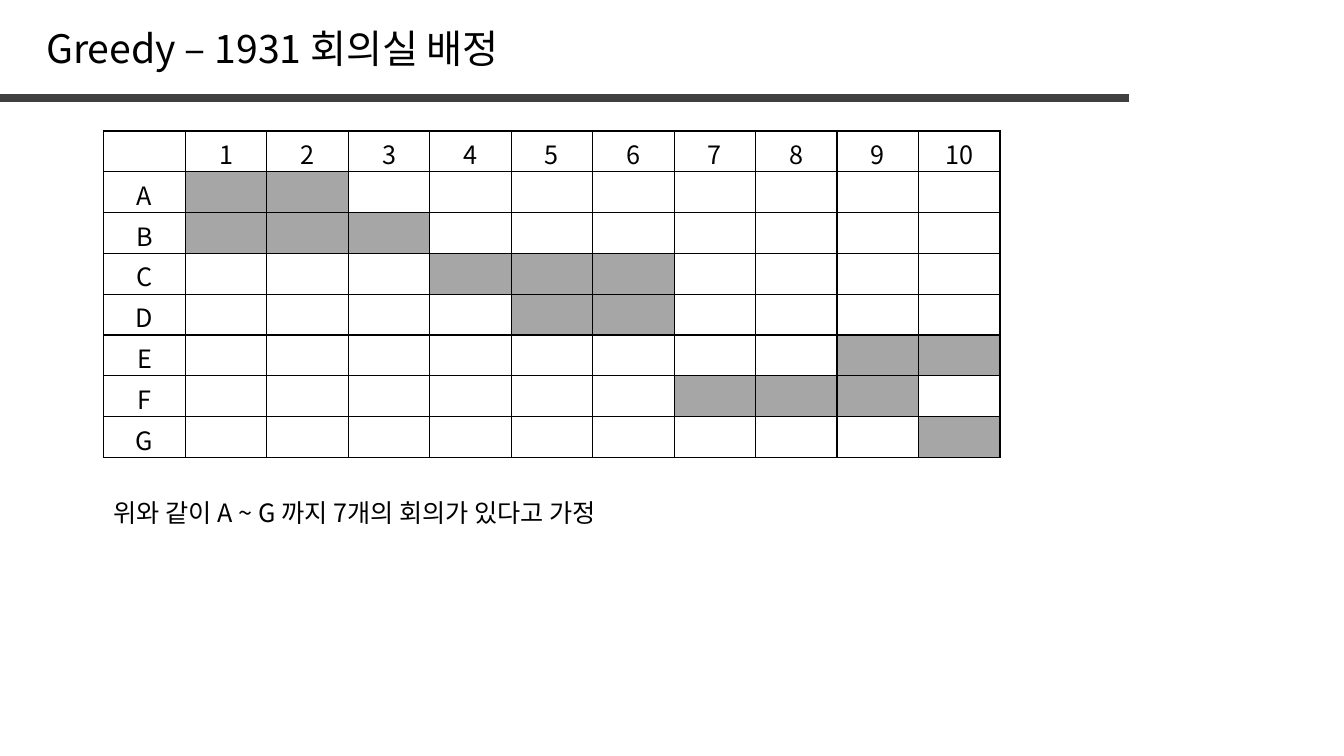
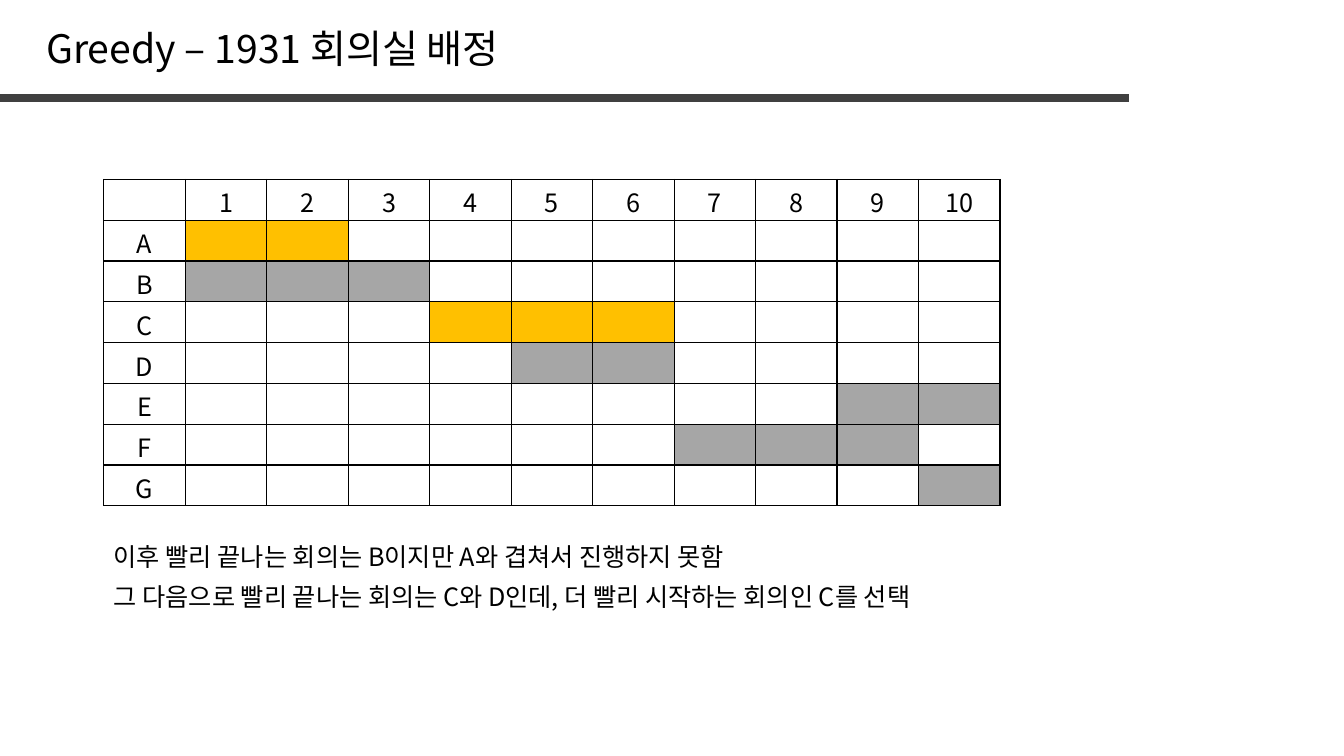
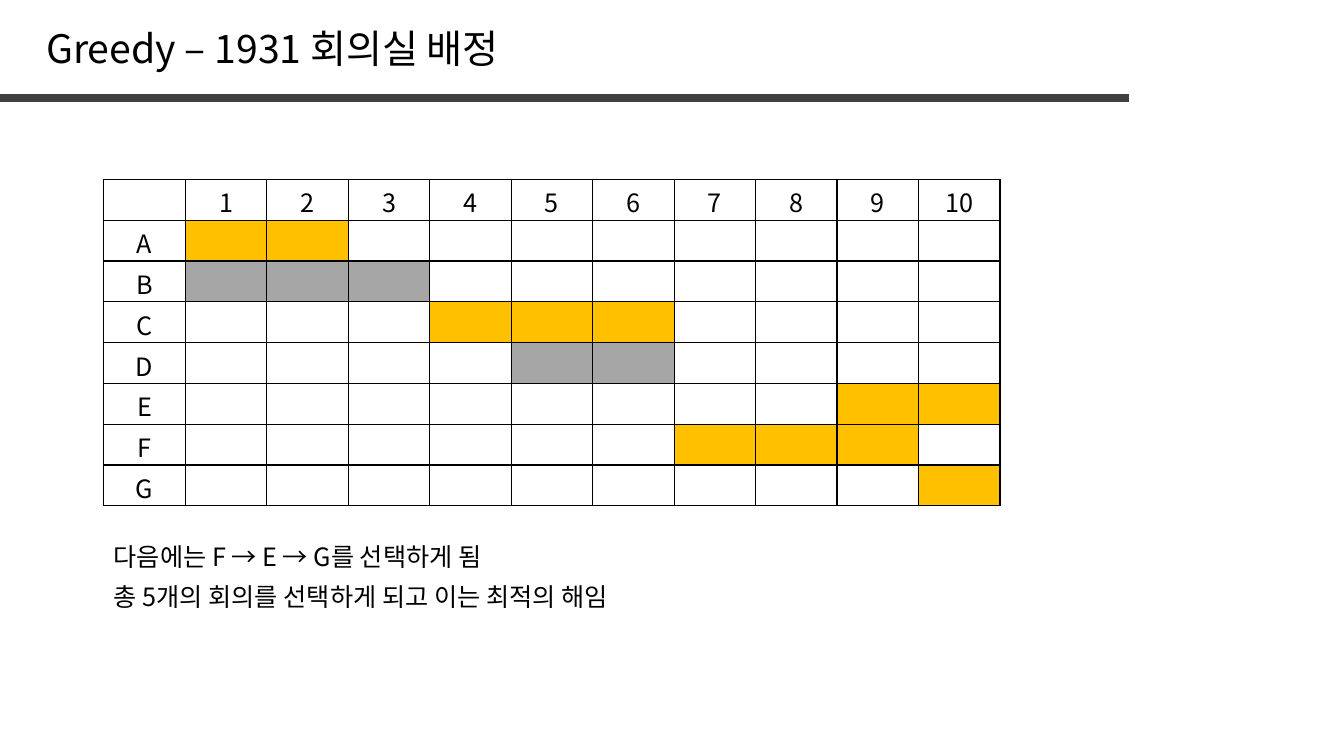
from pptx import Presentation
from pptx.dml.color import RGBColor
from pptx.enum.shapes import MSO_CONNECTOR
from pptx.enum.text import MSO_AUTO_SIZE, PP_ALIGN
from pptx.oxml.ns import qn
from pptx.util import Pt
from lxml.etree import SubElement

FACE = "Noto Sans CJK KR"
BLACK, BAR, GRAY, GOLD = "000000", "404040", "A6A6A6", "FFC000"
TITLE = "Greedy – 1931 회의실 배정"
LEFT, WIDE = 74.16, 806.4
COL, ROW = 58.2, 29.16
SLOTS = 10
MEETS = {
    "A": (1, 2), "B": (1, 3), "C": (4, 6), "D": (5, 6),
    "E": (9, 10), "F": (7, 9), "G": (10, 10),
}
CELL = {"margin_top": Pt(3), "margin_bottom": Pt(0)}
PLAIN = {"first_row": False, "horz_banding": False}
PAGES = [
    (93.6, "", 351.36, ["위와 같이 A ~ G 까지 7개의 회의가 있다고 가정"]),
    (128.16, "AC", 383.04, [
        "이후 빨리 끝나는 회의는 B이지만 A와 겹쳐서 진행하지 못함",
        "그 다음으로 빨리 끝나는 회의는 C와 D인데, 더 빨리 시작하는 회의인 C를 선택",
    ]),
    (128.16, "ACEFG", 383.04, [
        "다음에는 F → E → G를 선택하게 됨",
        "총 5개의 회의를 선택하게 되고 이는 최적의 해임",
    ]),
]


def color(code):
    return RGBColor.from_string(code)


def apply(item, form):
    for name, value in form.items():
        setattr(item, name, value)


def write(para, text, size):
    run = para.add_run()
    run.text = text
    apply(run.font, {"name": FACE, "size": Pt(size)})
    run.font.color.rgb = color(BLACK)
    SubElement(run.font._element, qn("a:ea"), typeface=FACE)


def add_text(slide, box, text, size, wrap=True):
    frame = slide.shapes.add_textbox(*map(Pt, box)).text_frame
    apply(frame, {"word_wrap": wrap, "auto_size": MSO_AUTO_SIZE.SHAPE_TO_FIT_TEXT})
    write(frame.paragraphs[0], text, size)


def add_bar(slide):
    bar = slide.shapes.add_connector(
        MSO_CONNECTOR.STRAIGHT, Pt(0), Pt(69.84), Pt(WIDE), Pt(69.84))
    bar.line.width = Pt(6)
    bar.line.color.rgb = color(BAR)
    SubElement(bar._element.spPr, qn("a:effectLst"))


def add_edges(cell):
    props = cell._tc.get_or_add_tcPr()
    for side in "LRTB":
        edge = SubElement(props, qn("a:ln" + side), w=str(Pt(1)))
        fill = SubElement(edge, qn("a:solidFill"))
        SubElement(fill, qn("a:srgbClr"), val=BLACK)


def style(cell, text, fill):
    apply(cell, CELL)
    add_edges(cell)
    if fill:
        cell.fill.solid()
        cell.fill.fore_color.rgb = color(fill)
    else:
        cell.fill.background()
    if text:
        para = cell.text_frame.paragraphs[0]
        para.alignment = PP_ALIGN.CENTER
        write(para, text, 18)


def add_chart(slide, top, picks):
    rows, cols = len(MEETS) + 1, SLOTS + 1
    table = slide.shapes.add_table(
        rows, cols, Pt(LEFT), Pt(top), Pt(COL * cols), Pt(ROW * rows)).table
    apply(table, PLAIN)
    for col in table.columns:
        col.width = Pt(COL)
    for row in table.rows:
        row.height = Pt(ROW)
    for slot in range(cols):
        style(table.cell(0, slot), str(slot or ""), None)
    for row, (name, (start, end)) in enumerate(MEETS.items(), 1):
        style(table.cell(row, 0), name, None)
        tint = GOLD if name in picks else GRAY
        for slot in range(1, cols):
            fill = tint if start <= slot <= end else None
            style(table.cell(row, slot), "", fill)


def add_page(deck, top, picks, base, notes):
    slide = deck.slides.add_slide(deck.slide_layouts[6])
    add_bar(slide)
    add_text(slide, (25.92, 13.68, 347.04, 41.04), TITLE, 28, False)
    add_chart(slide, top, picks)
    for step, note in enumerate(notes):
        add_text(slide, (LEFT, base + 28.8 * step, WIDE, 28.8), note, 18)


def main():
    deck = Presentation()
    apply(deck, {"slide_width": Pt(960), "slide_height": Pt(540)})
    for page in PAGES:
        add_page(deck, *page)
    deck.save("out.pptx")


if __name__ == "__main__":
    main()
